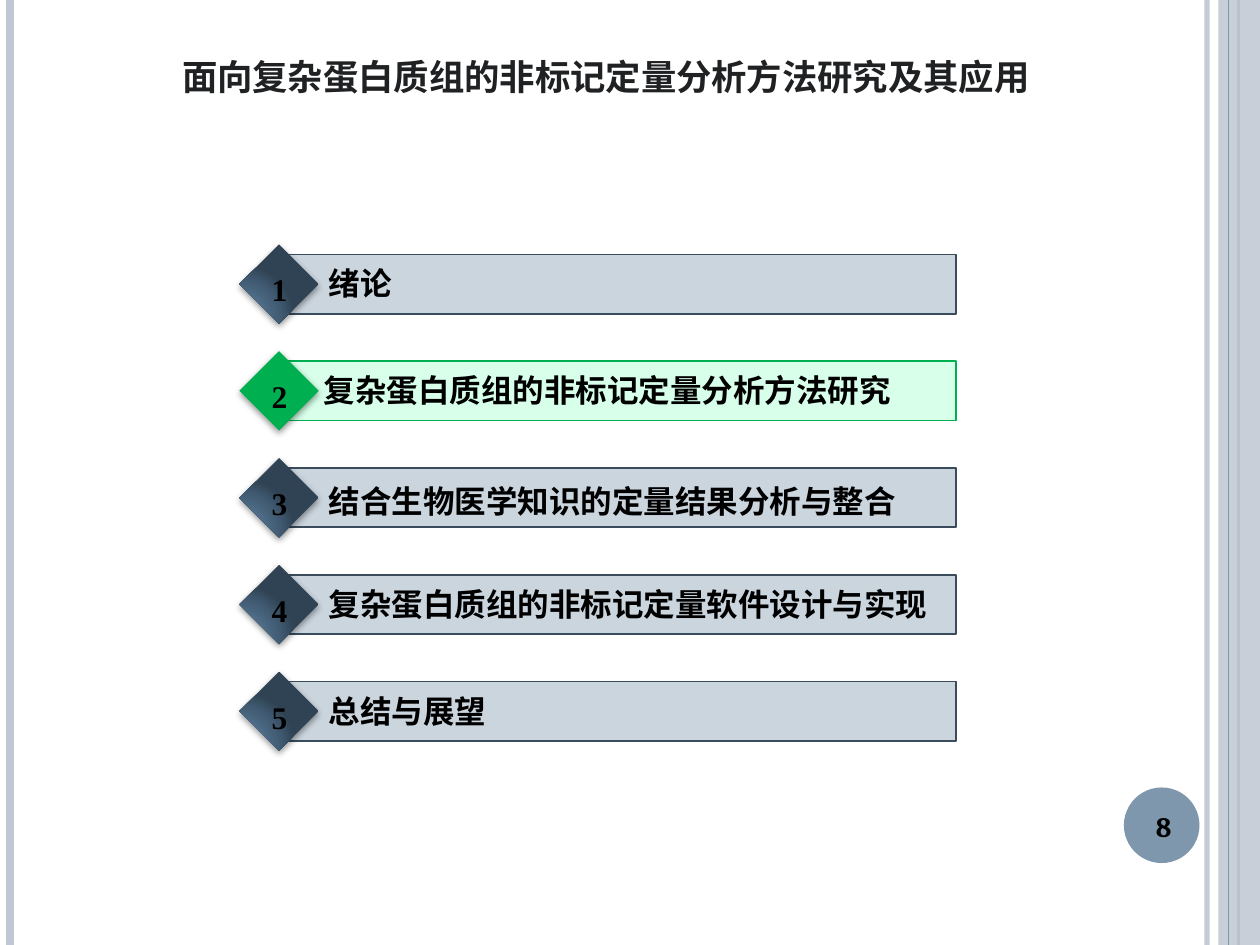
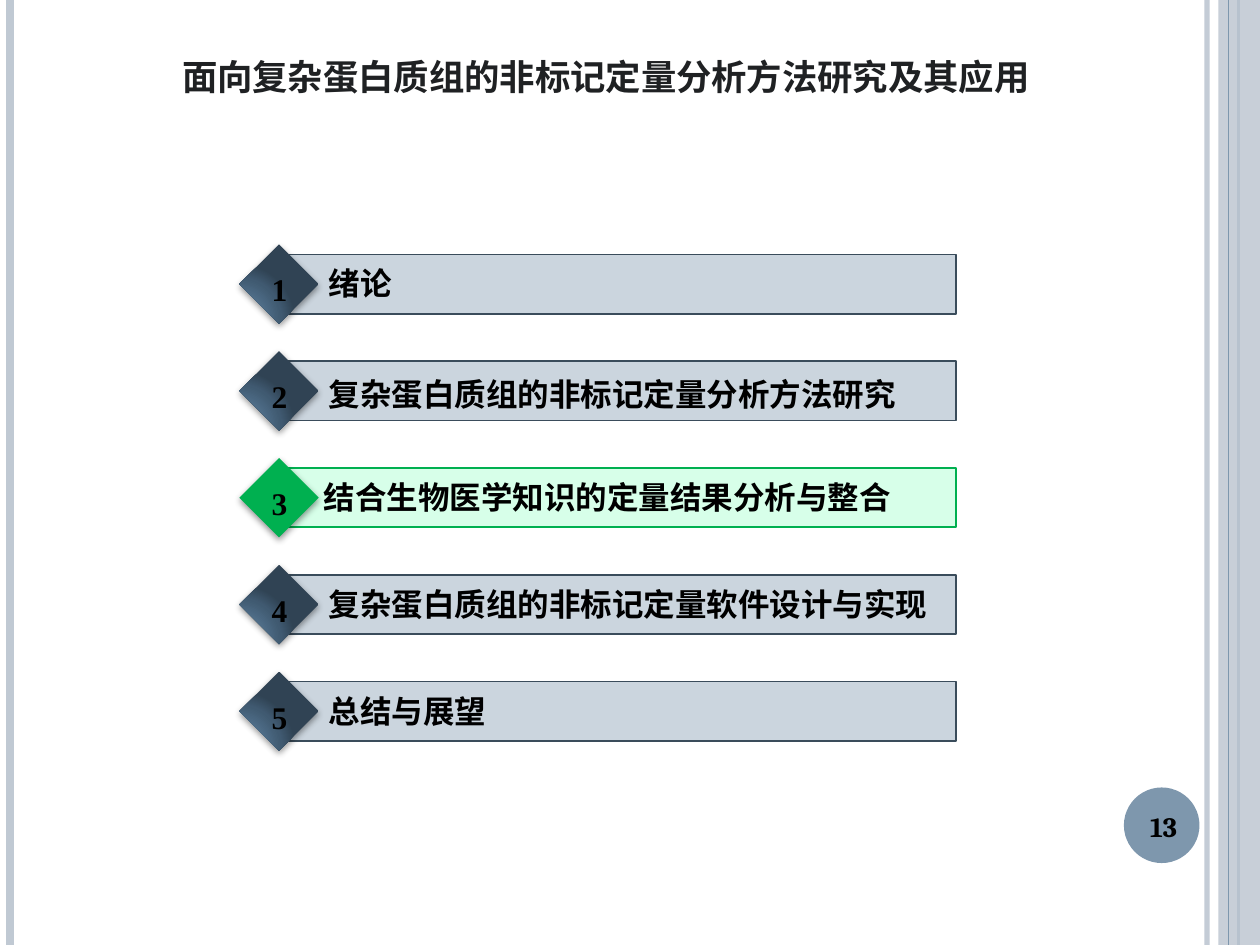
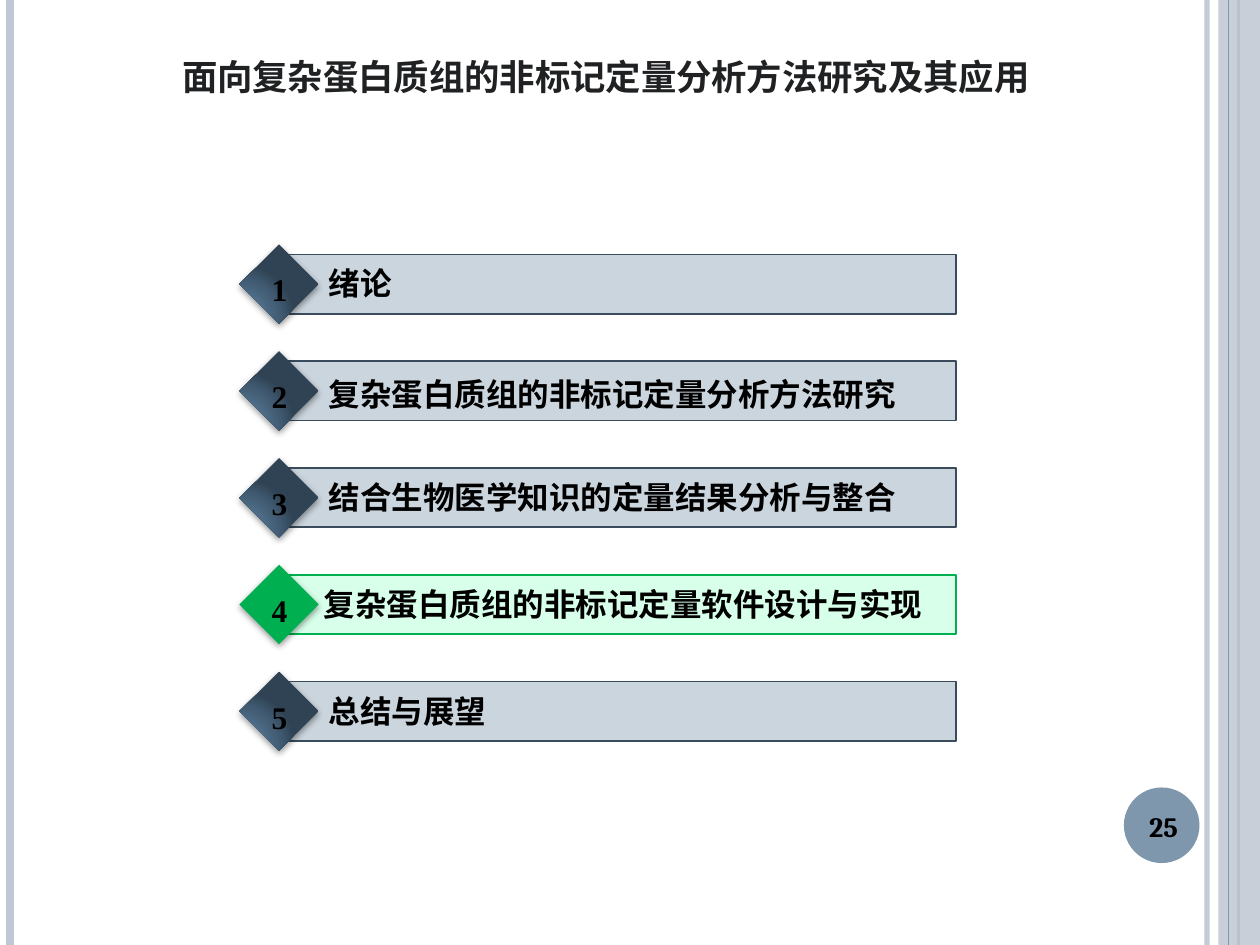
from pptx import Presentation
from pptx.dml.color import RGBColor
from pptx.enum.shapes import MSO_CONNECTOR, MSO_SHAPE
from pptx.enum.text import MSO_ANCHOR, MSO_AUTO_SIZE, PP_ALIGN
from pptx.oxml import parse_xml
from pptx.oxml.ns import nsdecls, qn
from pptx.util import Inches, Pt

STRAIGHT = MSO_CONNECTOR.STRAIGHT
RECTANGLE, DIAMOND, OVAL = MSO_SHAPE.RECTANGLE, MSO_SHAPE.DIAMOND, MSO_SHAPE.OVAL
TOP, MIDDLE, BOTTOM = MSO_ANCHOR.TOP, MSO_ANCHOR.MIDDLE, MSO_ANCHOR.BOTTOM
LEFT, CENTER = PP_ALIGN.LEFT, PP_ALIGN.CENTER
NO_FIT, GROW = MSO_AUTO_SIZE.NONE, MSO_AUTO_SIZE.SHAPE_TO_FIT_TEXT

WIDTH, HEIGHT = 10, 7.5
TITLE_ONLY = 5
BLACK, INK = "000000", "1F2123"
PALE_BLUE, MID_BLUE = "C0C9D3", "7E97AD"
BAR_FILL, BAR_LINE = "CBD5DE", "3A4C5B"
ACTIVE_FILL, ACTIVE_GREEN = "B9FFD9", "00B050"
DIAMOND_STOPS = [(0, "5B7C9A"), (30, "577895"), (75, "405A71"), (100, "304354")]

TITLE = "面向复杂蛋白质组的非标记定量分析方法研究及其应用"
CHAPTERS = [
    "绪论",
    "复杂蛋白质组的非标记定量分析方法研究",
    "结合生物医学知识的定量结果分析与整合",
    "复杂蛋白质组的非标记定量软件设计与实现",
    "总结与展望",
]
# Page number, active chapter, chapter whose label sits slightly lower
AGENDA_PAGES = [(8, 2, 3), (13, 3, 2), (25, 4, 2)]
FIRST_TOP, LAST_TOP = 2.02, 5.41
ROW_PITCH = (LAST_TOP - FIRST_TOP) / (len(CHAPTERS) - 1)


def rgb(value):
    return RGBColor.from_string(value)


def set_opacity(shape, percent):
    """Apply to the shape's fill, or to the line of a connector."""
    color = shape.element.find(".//" + qn("a:solidFill"))[0]
    color.append(parse_xml(f'<a:alpha {nsdecls("a")} val="{percent * 1000}"/>'))


def add_shape(shapes, kind, left, top, width, height, fill=None, line=None):
    shape = shapes.add_shape(
        kind, Inches(left), Inches(top), Inches(width), Inches(height))
    shape.shadow.inherit = False
    if fill:
        shape.fill.solid()
        shape.fill.fore_color.rgb = rgb(fill)
    else:
        shape.fill.background()
    if line:
        shape.line.color.rgb = rgb(line)
        shape.line.width = Pt(1)
    else:
        shape.line.fill.background()
    return shape


def add_rule(shapes, x, color, weight):
    """Draw a vertical line over the full slide height."""
    rule = shapes.add_connector(
        STRAIGHT, Inches(x), Inches(0), Inches(x), Inches(HEIGHT))
    rule.line.color.rgb = rgb(color)
    rule.line.width = Pt(weight)
    rule.element.spPr.append(parse_xml(f'<a:effectLst {nsdecls("a")}/>'))
    return rule


def write_text(shape, text, size=18, font="Times New Roman", color=BLACK,
               align=LEFT, anchor=TOP, wrap=True, fit=NO_FIT):
    frame = shape.text_frame
    frame.word_wrap = wrap
    frame.auto_size = fit
    frame.vertical_anchor = anchor
    para = frame.paragraphs[0]
    para.alignment = align
    span = para.add_run()
    span.text = text
    span.font.size = Pt(size)
    span.font.name = font
    span.font.bold = True
    span.font.color.rgb = rgb(color)
    return span


def add_text(shapes, left, top, width, height, text, **style):
    box = shapes.add_textbox(
        Inches(left), Inches(top), Inches(width), Inches(height))
    write_text(box, text, **style)


def add_layout_decoration(slide, layout):
    """Draw the side bands and number disc, then hand them to the layout."""
    shapes = slide.shapes
    edge = add_rule(shapes, 9.58, PALE_BLUE, 3)
    set_opacity(edge, 93)
    left_edge = add_rule(shapes, 0.08, PALE_BLUE, 4.5)
    inner = add_rule(shapes, 9.83, MID_BLUE, 1.5)
    band = add_shape(shapes, RECTANGLE, 9.67, 0, 0.33, HEIGHT, PALE_BLUE)
    set_opacity(band, 87)
    outer = add_rule(shapes, 9.75, MID_BLUE, 0.75)
    disc = add_shape(shapes, OVAL, 8.92, 6.25, 0.6, 0.6, MID_BLUE)
    for part in (edge, left_edge, inner, band, outer, disc):
        layout.shapes.element.append(part.element)


def add_title(slide):
    title = slide.shapes.title
    title.left, title.top = Inches(0.2), Inches(0.13)
    title.width, title.height = Inches(9.21), Inches(0.71)
    span = write_text(title, TITLE, size=25.2, font="Arial", color=INK,
                      align=CENTER, anchor=BOTTOM)
    span.font._element.set("cap", "small")


def shade_diamond(diamond):
    stops = "".join(
        f'<a:gs pos="{position * 1000}"><a:srgbClr val="{color}"/></a:gs>'
        for position, color in DIAMOND_STOPS)
    gradient = parse_xml(
        f'<a:gradFill {nsdecls("a")} rotWithShape="1"><a:gsLst>{stops}</a:gsLst>'
        '<a:path path="circle">'
        '<a:fillToRect l="5000" t="100000" r="120000" b="10000"/>'
        '</a:path></a:gradFill>')
    properties = diamond.element.spPr
    properties.replace(properties.find(qn("a:noFill")), gradient)


def add_soft_shadow(shape):
    shape.element.spPr.find(qn("a:effectLst")).append(parse_xml(
        f'<a:outerShdw {nsdecls("a")} blurRad="{Pt(4)}" dist="{Pt(1.6)}" '
        'dir="5400000" rotWithShape="0"><a:srgbClr val="000000">'
        '<a:alpha val="42000"/></a:srgbClr></a:outerShdw>'))


def add_chapter(slide, number, name, active, lowered):
    top = FIRST_TOP + (number - 1) * ROW_PITCH
    row = slide.shapes.add_group_shape().shapes
    bar = add_shape(row, RECTANGLE, 2.25, top, 5.34, 0.47,
                    ACTIVE_FILL if active else BAR_FILL,
                    ACTIVE_GREEN if active else BAR_LINE)
    diamond = add_shape(row, DIAMOND, 1.9, top - 0.08, 0.63, 0.63,
                        ACTIVE_GREEN if active else None)
    if active:
        set_opacity(bar, 56)
    else:
        shade_diamond(diamond)
    add_soft_shadow(diamond)
    write_text(diamond, str(number))
    label_left = 2.47 if active else 2.51
    label_width = 0.28 + 0.25 * len(name) if active else 5.1
    add_text(row, label_left, top + (0.06 if lowered else 0.03),
             label_width, 0.4, name, wrap=not active, fit=GROW)


def main():
    deck = Presentation()
    deck.slide_width, deck.slide_height = Inches(WIDTH), Inches(HEIGHT)
    layout = deck.slide_layouts[TITLE_ONLY]
    for page, active, lowered in AGENDA_PAGES:
        slide = deck.slides.add_slide(layout)
        if len(deck.slides) == 1:
            add_layout_decoration(slide, layout)
        add_title(slide)
        add_text(slide.shapes, 8.9, 6.27, 0.67, 0.57, str(page), size=16,
                 font="Cambria", align=CENTER, anchor=MIDDLE)
        for number, name in enumerate(CHAPTERS, start=1):
            add_chapter(slide, number, name, number == active, number == lowered)
    deck.save("out.pptx")


if __name__ == "__main__":
    main()
